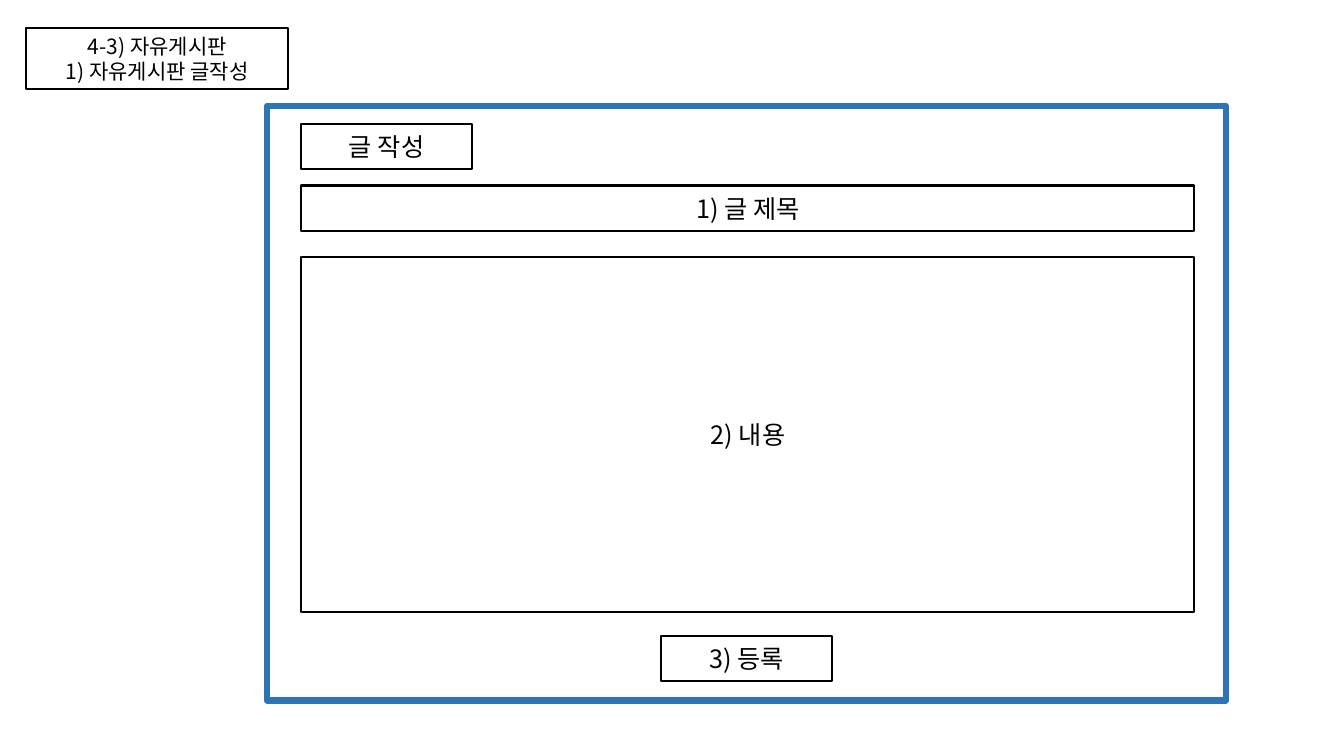
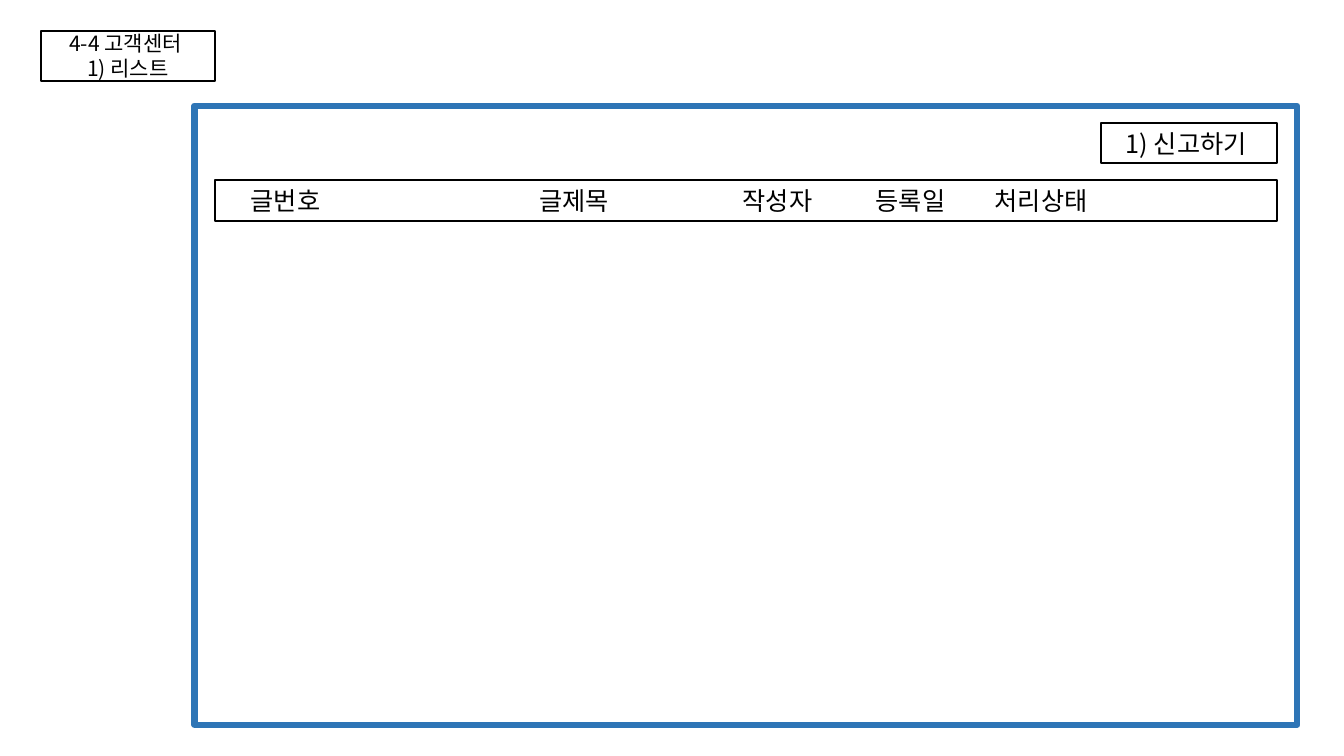
from dataclasses import dataclass

from pptx import Presentation, util as u
from pptx.dml.color import RGBColor
from pptx.enum import shapes, text
from pptx.oxml.ns import qn
from lxml import etree

WHITE = RGBColor(0xFF, 0xFF, 0xFF)
BLACK = RGBColor(0x00, 0x00, 0x00)
BLUE = RGBColor(0x2E, 0x75, 0xB6)
FONT = "Noto Sans CJK KR"
TITLE_SIZE, BODY_SIZE = 15, 18
THIN, THICK = 1.5, 4.5
TITLE_ONLY = 5
CELL = u.Inches(0.1)
COLUMNS, ROWS = 133.33, 75


def cells(count):
    return u.Emu(round(count * CELL))


@dataclass
class Box:
    left: float
    top: float
    width: float
    height: float

    def inside(self, left, top, width, height):
        return Box(self.left + left, self.top + top, width, height)

    def place(self):
        return [cells(n) for n in (self.left, self.top, self.width, self.height)]


def outline(shape, color=BLACK, weight=THIN):
    shape.fill.solid()
    shape.fill.fore_color.rgb = WHITE
    shape.line.color.rgb = color
    shape.line.width = u.Pt(weight)


def write(shape, lines, size, alignment=text.PP_ALIGN.CENTER):
    frame = shape.text_frame
    frame.word_wrap = True
    frame.auto_size = text.MSO_AUTO_SIZE.NONE
    frame.vertical_anchor = text.MSO_ANCHOR.MIDDLE
    for index, line in enumerate(lines):
        paragraph = frame.add_paragraph() if index else frame.paragraphs[0]
        paragraph.alignment = alignment
        run = paragraph.add_run()
        run.text = line
        run.font.size = u.Pt(size)
        run.font.name = FONT
        run.font.color.rgb = BLACK
        east_asian = etree.SubElement(run.font._element, qn("a:ea"))
        east_asian.set("typeface", FONT)


def add_box(slide, box, color=BLACK, weight=THIN):
    shape = slide.shapes.add_shape(shapes.MSO_SHAPE.RECTANGLE, *box.place())
    shape.shadow.inherit = False
    outline(shape, color, weight)
    return shape


def add_label(slide, box, caption):
    write(add_box(slide, box), [caption], BODY_SIZE)


def add_column_heads(slide, box, heads):
    shape = add_box(slide, box)
    line = "".join("\t" + name for name in heads)
    write(shape, [line], BODY_SIZE, text.PP_ALIGN.LEFT)
    properties = shape.text_frame.paragraphs[0]._p.get_or_add_pPr()
    tabs = etree.SubElement(properties, qn("a:tabLst"))
    for stop in heads.values():
        etree.SubElement(tabs, qn("a:tab"), pos=str(cells(stop)), algn="l")


def add_screen(presentation, title_box, title_lines, panel):
    slide = presentation.slides.add_slide(presentation.slide_layouts[TITLE_ONLY])
    title = slide.shapes.title
    title.left, title.top, title.width, title.height = title_box.place()
    outline(title)
    write(title, title_lines, TITLE_SIZE)
    add_box(slide, panel, BLUE, THICK)
    return slide


def fill_post_form(slide, panel):
    margin, button_width, row_height = 3.4, 16.9, 4.5
    field_width = panel.width - margin - 3.1
    centred = (panel.width - button_width) / 2
    for caption, left, top, width, height in (
        ("글 작성", margin, 1.8, button_width, row_height),
        ("1) 글 제목", margin, 7.9, field_width, row_height),
        ("2) 내용", margin, 15, field_width, 35.2),
        ("3) 등록", centred, 52.6, button_width, row_height),
    ):
        add_label(slide, panel.inside(left, top, width, height), caption)


def fill_report_list(slide, panel):
    margin, button_width, row_height = 2, 17.5, 4
    heads = {"글번호": 2.6, "글제목": 31.2, "작성자": 51.4, "등록일": 64.6, "처리상태": 76.4}
    header = panel.inside(margin, 7.4, panel.width - 2 * margin, row_height)
    add_column_heads(slide, header, heads)
    button_left = panel.width - margin - button_width
    add_label(slide, panel.inside(button_left, 1.7, button_width, row_height), "1) 신고하기 ")


def main():
    presentation = Presentation()
    presentation.slide_width = cells(COLUMNS)
    presentation.slide_height = cells(ROWS)

    form_panel = Box(26.5, 10.5, 95.1, 59)
    form_title = ["4-3) 자유게시판", "1) 자유게시판 글작성"]
    form = add_screen(presentation, Box(2.6, 2.8, 26, 6), form_title, form_panel)
    fill_post_form(form, form_panel)

    list_panel = Box(19.3, 10.5, 109.4, 61.4)
    list_title = ["4-4 고객센터 ", "1) 리스트"]
    report = add_screen(presentation, Box(4.1, 3.1, 17.2, 4.9), list_title, list_panel)
    fill_report_list(report, list_panel)

    presentation.save("out.pptx")


main()
